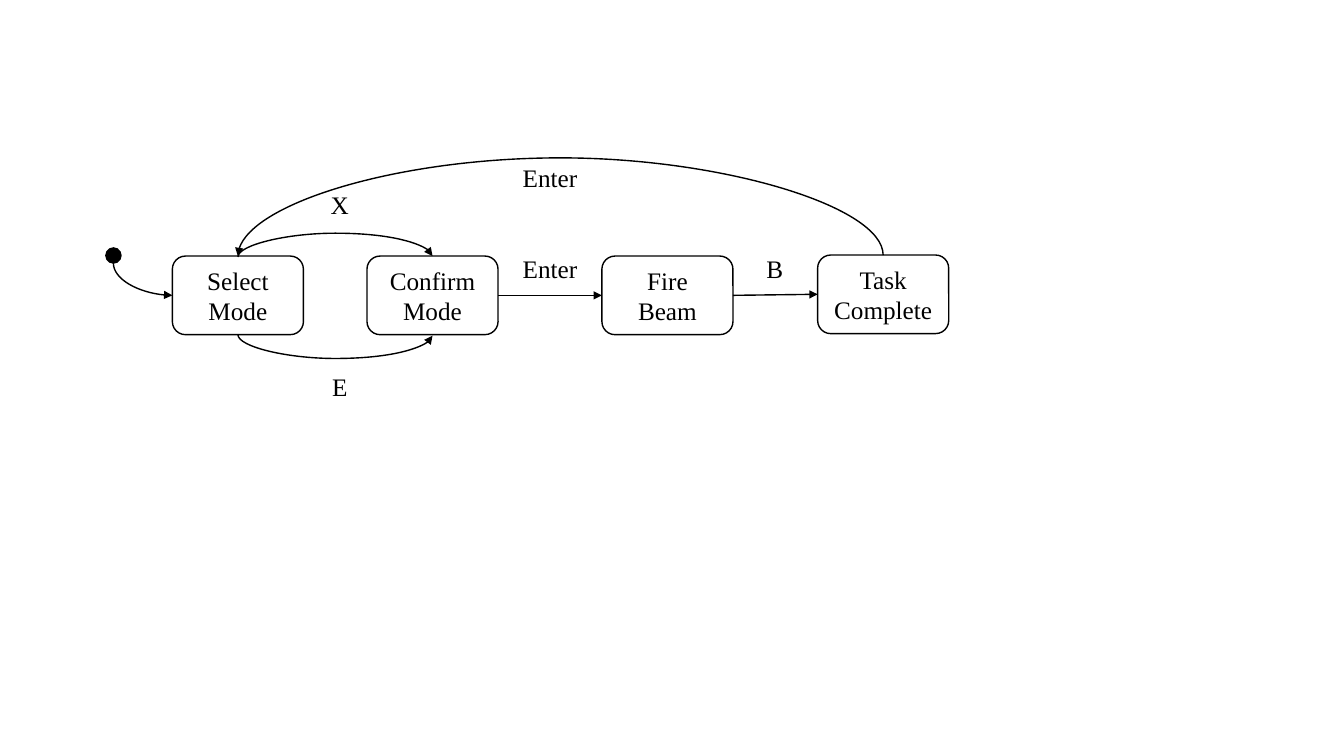
"""Build a state diagram slide for a beam task."""
from lxml import etree
from pptx import Presentation
from pptx.dml.color import RGBColor
from pptx.enum.shapes import MSO_CONNECTOR, MSO_SHAPE
from pptx.enum.text import MSO_ANCHOR, PP_ALIGN
from pptx.oxml.ns import qn
from pptx.util import Inches, Pt

ROUND, OVAL = MSO_SHAPE.ROUNDED_RECTANGLE, MSO_SHAPE.OVAL
LINE, CURVE = MSO_CONNECTOR.STRAIGHT, MSO_CONNECTOR.CURVE
MID, CENTER = MSO_ANCHOR.MIDDLE, PP_ALIGN.CENTER

HUES = {"ink": "000000", "paper": "FFFFFF"}
FONT, SIZE = "Times New Roman", 18
WIDE, HIGH = 13.33, 7.5
BOX_W, BOX_H, DOT, TAG_H = 1.3, 0.78, 0.15, 0.4
ROW = 2.54
STATES = {
    "Select Mode": (1.71, ROW),
    "Confirm Mode": (3.64, ROW),
    "Fire Beam": (5.97, ROW),
    "Task Complete": (8.11, ROW - 0.01),
}
STEPS = [("Confirm Mode", "Fire Beam"), ("Fire Beam", "Task Complete")]
START = (1.05, 2.46)
TAGS = [
    ("X", 3.1, 1.83, 0.54),
    ("E", 3.1, 3.63, 0.54),
    ("Enter", 4.99, 2.46, 0.93),
    ("B", 7.31, 2.46, 0.75),
    ("Enter", 4.99, 1.56, 0.93),
]


def hue(key):
    return RGBColor.from_string(HUES[key])


def write(shape, text):
    para = shape.text_frame.paragraphs[0]
    para.text = text
    para.alignment = CENTER
    para.font.name, para.font.size = FONT, Pt(SIZE)
    para.font.color.rgb = hue("ink")
    shape.text_frame.word_wrap = True


def draw(slide, kind, spot, size, fill):
    shape = slide.shapes.add_shape(kind, *map(Inches, (*spot, *size)))
    shape.shadow.inherit = False
    shape.fill.solid()
    shape.fill.fore_color.rgb = hue(fill)
    shape.line.color.rgb = hue("ink")
    shape.line.width = Pt(1)
    return shape


def link(slide, kind, head, tail):
    wire = slide.shapes.add_connector(kind, *map(Inches, (*head, *tail)))
    wire.line.color.rgb = hue("ink")
    wire.line.width = Pt(1)
    etree.SubElement(wire.line._get_or_add_ln(), qn("a:tailEnd"), type="triangle")
    etree.SubElement(wire._element.spPr, qn("a:effectLst"))
    return wire


def bend(slide, head, tail, bow=None):
    """Curve that leaves vertically; bow is the signed depth of its arc."""
    wire = link(slide, CURVE, head, tail)
    dx, dy = tail[0] - head[0], tail[1] - head[1]
    wide, high = abs(dy), abs(dx)
    wire.left = Inches((head[0] + tail[0] - wide) / 2)
    wire.top = Inches((head[1] + tail[1] - high) / 2)
    wire.width, wire.height = Inches(wide), Inches(high)
    frame = wire._element.spPr.find(qn("a:xfrm"))
    frame.set("rot", str((90 if dy < 0 else 270) * 60000))
    frame.set("flipH", "1")
    frame.set("flipV", str(int((dy < 0) != (dx < 0))))
    geom = wire._element.spPr.find(qn("a:prstGeom"))
    if bow is None:
        geom.set("prst", "curvedConnector2")
        return
    guides = geom.find(qn("a:avLst"))
    ratio = round(bow / dy * 100000)
    etree.SubElement(guides, qn("a:gd"), name="adj1", fmla=f"val {ratio}")


def side(name, across, down):
    left, top = STATES[name]
    return left + BOX_W * across, top + BOX_H * down


def main():
    deck = Presentation()
    deck.slide_width, deck.slide_height = Inches(WIDE), Inches(HIGH)
    slide = deck.slides.add_slide(deck.slide_layouts[6])

    for name, spot in STATES.items():
        box = draw(slide, ROUND, spot, (BOX_W, BOX_H), "paper")
        write(box, name)
        box.text_frame.vertical_anchor = MID
    for one, two in STEPS:
        link(slide, LINE, side(one, 1, 0.5), side(two, 0, 0.5))

    top, low = side("Select Mode", 0.5, 0), side("Select Mode", 0.5, 1)
    goal, base = side("Confirm Mode", 0.5, 0), side("Confirm Mode", 0.5, 1)
    bend(slide, (top[0], top[1] + 0.01), goal, -0.24)
    bend(slide, low, (base[0], base[1] + 0.01), 0.24)
    bend(slide, (START[0] + DOT / 2, START[1] + DOT), side("Select Mode", 0, 0.5))
    draw(slide, OVAL, START, (DOT, DOT), "ink")
    bend(slide, side("Task Complete", 0.5, 0), top, -0.98)

    for text, left, up, wide in TAGS:
        tag = slide.shapes.add_textbox(*map(Inches, (left, up, wide, TAG_H)))
        write(tag, text)
    deck.save("out.pptx")


if __name__ == "__main__":
    main()
